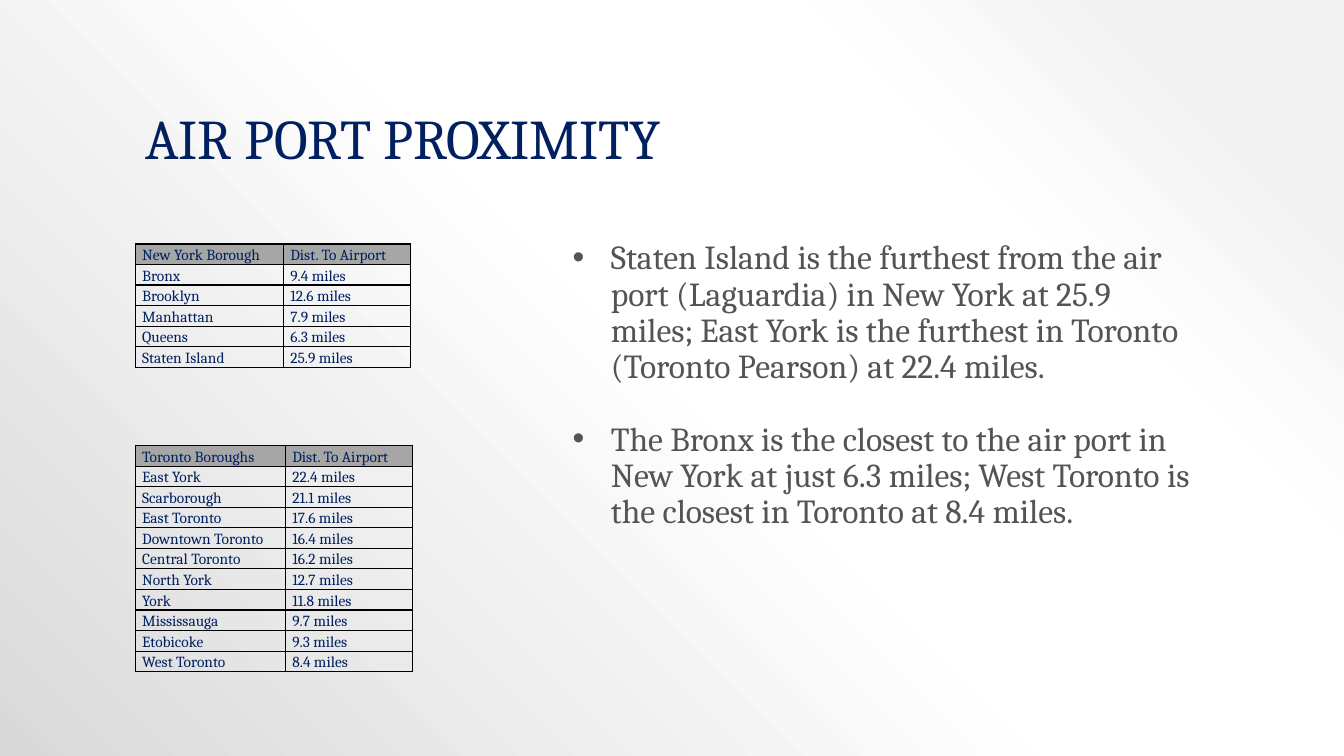
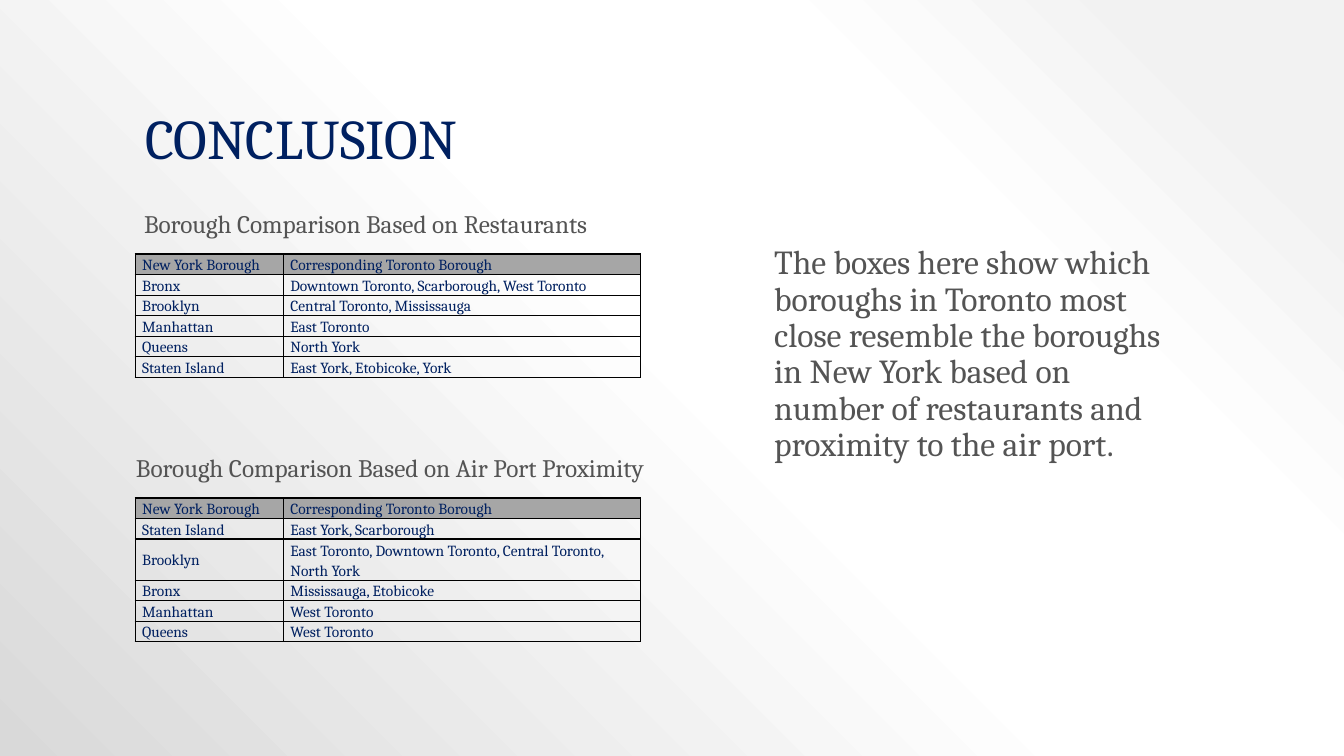
from pptx import Presentation
from pptx.dml.color import RGBColor
from pptx.enum.text import MSO_ANCHOR as Anchor
from pptx.oxml import parse_xml
from pptx.oxml.ns import qn
from pptx.util import Inches, Pt
from lxml.etree import SubElement as Sub

FONT = "Cambria"
NAVY, GRAY, HEAD, BLACK, WHITE = "002060", "545454", "A6A6A6", "000000", "FFFFFF"
WIDE, HIGH, LEFT = 13.33, 7.5, 1.34
FADE = [(10, "F2F2F2"), (28, WHITE), (48, WHITE), (100, "D9D9D9")]
ROW = 0.2


def color(code):
    return RGBColor.from_string(code)


class Deck:
    def __init__(self):
        self.prs = Presentation()
        self.prs.slide_width = Inches(WIDE)
        self.prs.slide_height = Inches(HIGH)
        self.slide = None
        self.backdrop()

    def backdrop(self):
        """Radial fade from the top right corner, set on the master."""
        master = self.prs.slide_master
        master.background.fill.solid()
        props = master.element.find(".//" + qn("p:bgPr"))
        stops = "".join(
            f'<a:gs pos="{at * 1000}"><a:srgbClr val="{code}"/></a:gs>'
            for at, code in FADE)
        props.replace(props[0], parse_xml(
            '<a:gradFill xmlns:a="http://schemas.openxmlformats.org/drawingml/2006/main"'
            f' rotWithShape="1"><a:gsLst>{stops}</a:gsLst><a:path path="circle">'
            '<a:fillToRect l="100000" b="100000"/></a:path></a:gradFill>'))

    def start(self, title):
        self.slide = self.prs.slides.add_slide(self.prs.slide_layouts[6])
        self.text([title], LEFT, 0.3, 10.67, 1.45, 40, NAVY, Anchor.BOTTOM)

    def style(self, para, size, code, space):
        para.line_spacing = space
        for run in para.runs:
            run.font.name = FONT
            run.font.size = Pt(size)
            run.font.color.rgb = color(code)

    def text(self, lines, x, y, w, h, size, code=GRAY, anchor=Anchor.TOP,
             bullet=False):
        box = self.slide.shapes.add_textbox(*map(Inches, (x, y, w, h)))
        frame = box.text_frame
        frame.word_wrap = True
        frame.vertical_anchor = anchor
        frame.text = "\n".join(lines)
        for i, para in enumerate(frame.paragraphs):
            self.style(para, size, code, 0.9)
            if bullet:
                para.space_before = Pt(26 if i else 0)
                props = para._p.get_or_add_pPr()
                props.set("marL", str(Inches(0.38)))
                props.set("indent", str(-Inches(0.38)))
                Sub(props, qn("a:buFont"), typeface="Arial")
                Sub(props, qn("a:buChar"), char="•")

    def table(self, y, widths, rows, tall=None):
        """Bordered table; the row numbered tall takes two lines."""
        heights = [ROW * 2 if i == tall else ROW for i in range(len(rows))]
        frame = self.slide.shapes.add_table(
            len(rows), len(widths), Inches(LEFT), Inches(y),
            Inches(sum(widths)), Inches(sum(heights)))
        grid = frame.table
        grid.first_row = grid.horz_banding = False
        for col, width in zip(grid.columns, widths):
            col.width = Inches(width)
        for i, row in enumerate(rows):
            grid.rows[i].height = Inches(heights[i])
            for j, words in enumerate(row):
                mid = i == tall and j == 0
                self.cell(grid.cell(i, j), words, i == 0, mid)

    def cell(self, cell, words, head, mid):
        cell.text_frame.text = words
        self.style(cell.text_frame.paragraphs[0], 11, NAVY, 1.11)
        cell.margin_left = cell.margin_right = Inches(0.07)
        cell.margin_top = cell.margin_bottom = 0
        cell.vertical_anchor = Anchor.MIDDLE if mid else Anchor.BOTTOM
        props = cell._tc.get_or_add_tcPr()
        for side in "LRTB":
            line = Sub(props, qn("a:ln" + side), w=str(Pt(1)))
            Sub(Sub(line, qn("a:solidFill")), qn("a:srgbClr"), val=BLACK)
        if head:
            cell.fill.solid()
            cell.fill.fore_color.rgb = color(HEAD)
        else:
            cell.fill.background()


def main():
    deck = Deck()

    # Distances to the airports
    deck.start("AIR PORT PROXIMITY")
    deck.table(2.42, [1.47, 1.26], [
        ("New York Borough", "Dist. To Airport"),
        ("Bronx", "9.4 miles"),
        ("Brooklyn", "12.6 miles"),
        ("Manhattan", "7.9 miles"),
        ("Queens", "6.3 miles"),
        ("Staten Island", "25.9 miles"),
    ])
    deck.table(4.42, [1.49, 1.26], [
        ("Toronto Boroughs", "Dist. To Airport"),
        ("East York", "22.4 miles"),
        ("Scarborough", "21.1 miles"),
        ("East Toronto", "17.6 miles"),
        ("Downtown Toronto", "16.4 miles"),
        ("Central Toronto", "16.2 miles"),
        ("North York", "12.7 miles"),
        ("York", "11.8 miles"),
        ("Mississauga", "9.7 miles"),
        ("Etobicoke", "9.3 miles"),
        ("West Toronto", "8.4 miles"),
    ])
    deck.text([
        "Staten Island is the furthest from the air port (Laguardia) in New York "
        "at 25.9 miles; East York is the furthest in Toronto (Toronto Pearson) "
        "at 22.4 miles.",
        "The Bronx is the closest to the air port in New York at just 6.3 miles; "
        "West Toronto is the closest in Toronto at 8.4 miles.",
    ], 5.58, 2.34, 6.42, 4.1, 24, bullet=True)

    # Matching boroughs
    deck.start("CONCLUSION")
    names = ("New York Borough", "Corresponding Toronto Borough")
    widths = [1.47, 3.54]
    deck.table(2.52, widths, [
        names,
        ("Bronx", "Downtown Toronto, Scarborough, West Toronto"),
        ("Brooklyn", "Central Toronto, Mississauga"),
        ("Manhattan", "East Toronto"),
        ("Queens", "North York"),
        ("Staten Island", "East York, Etobicoke, York"),
    ])
    deck.table(4.94, widths, [
        names,
        ("Staten Island", "East York, Scarborough"),
        ("Brooklyn", "East Toronto, Downtown Toronto, Central Toronto, North York"),
        ("Bronx", "Mississauga, Etobicoke"),
        ("Manhattan", "West Toronto"),
        ("Queens", "West Toronto"),
    ], tall=2)
    deck.text([
        "The boxes here show which boroughs in Toronto most close resemble the "
        "boroughs in New York based on number of restaurants and proximity to "
        "the air port.",
    ], 7.58, 2.39, 4.25, 2.65, 24)
    deck.text(["Borough Comparison Based on Restaurants"],
              1.33, 2.05, 5.08, 0.37, 18)
    deck.text(["Borough Comparison Based on Air Port Proximity"],
              1.25, 4.47, 5.79, 0.37, 18)

    deck.prs.save("out.pptx")


if __name__ == "__main__":
    main()
